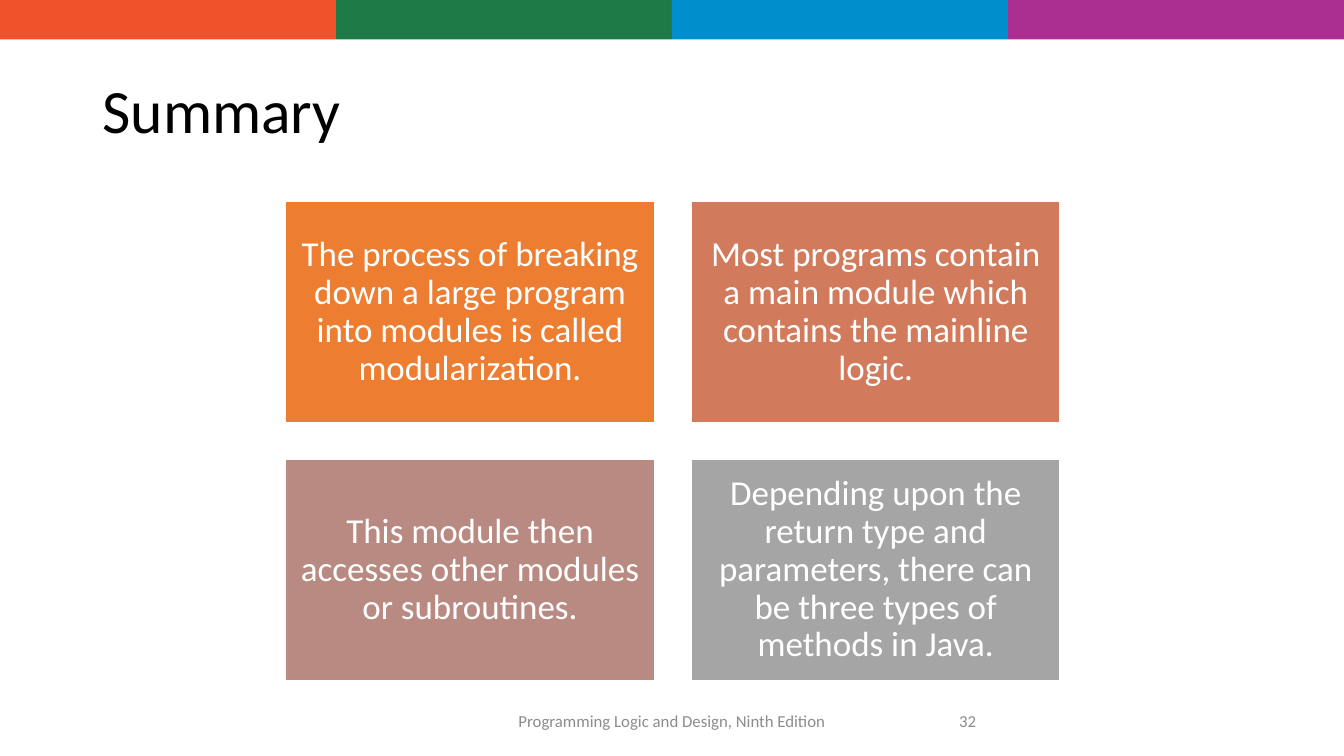
from dataclasses import dataclass

import pptx
import pptx.dml.color
import pptx.enum.shapes
import pptx.enum.text
import pptx.util

ALIGN = pptx.enum.text.PP_ALIGN
COLUMNS, ROWS = 160, 90


@dataclass(frozen=True)
class Theme:
    font: str = "Calibri"
    title_size: int = 44
    card_size: int = 25
    footer_size: int = 12
    title_color: str = "000000"
    light: str = "FFFFFF"
    footer_color: str = "8C8C8C"
    bands: tuple = ("F0532C", "1E7B47", "008FCD", "AB2E91")
    cards: tuple = ("ED7D31", "D17B5C", "B98A82", "A5A5A5")


def rgb(color):
    return pptx.dml.color.RGBColor.from_string(color)


class SlideBuilder:
    def __init__(self, presentation, theme):
        self.theme = theme
        self.column = presentation.slide_width / COLUMNS
        self.row = presentation.slide_height / ROWS
        self.slide = presentation.slides.add_slide(presentation.slide_layouts[5])

    def box(self, left, top, width, height):
        return (round(left * self.column), round(top * self.row),
                round(width * self.column), round(height * self.row))

    def set_text(self, shape, text, size, color, alignment, line_spacing=1.0):
        frame = shape.text_frame
        frame.text = text
        frame.word_wrap = True
        frame.auto_size = pptx.enum.text.MSO_AUTO_SIZE.NONE
        frame.vertical_anchor = pptx.enum.text.MSO_ANCHOR.MIDDLE
        paragraph = frame.paragraphs[0]
        paragraph.alignment = alignment
        paragraph.line_spacing = line_spacing
        font = paragraph.runs[0].font
        font.name = self.theme.font
        font.size = pptx.util.Pt(size)
        font.color.rgb = rgb(color)

    def title(self, text, *area):
        shape = self.slide.shapes.title
        shape.left, shape.top, shape.width, shape.height = self.box(*area)
        self.set_text(shape, text, self.theme.title_size, self.theme.title_color,
                      ALIGN.LEFT, 0.9)

    def rectangle(self, color, *area):
        shape = self.slide.shapes.add_shape(
            pptx.enum.shapes.MSO_SHAPE.RECTANGLE, *self.box(*area))
        shape.shadow.inherit = False
        shape.fill.solid()
        shape.fill.fore_color.rgb = rgb(color)
        shape.line.fill.background()
        return shape

    def card(self, text, color, *area):
        shape = self.rectangle(color, *area)
        shape.line.color.rgb = rgb(self.theme.light)
        shape.line.width = pptx.util.Pt(1)
        frame = shape.text_frame
        frame.margin_left = frame.margin_right = pptx.util.Inches(0.1)
        frame.margin_top = frame.margin_bottom = pptx.util.Inches(0.1)
        self.set_text(shape, text, self.theme.card_size, self.theme.light,
                      ALIGN.CENTER, 0.9)

    def footer(self, text, alignment, *area):
        shape = self.slide.shapes.add_textbox(*self.box(*area))
        self.set_text(shape, text, self.theme.footer_size, self.theme.footer_color,
                      alignment)


def main():
    presentation = pptx.Presentation()
    presentation.slide_width = pptx.util.Inches(13.33)
    presentation.slide_height = pptx.util.Inches(7.5)
    theme = Theme()
    builder = SlideBuilder(presentation, theme)

    band_width = COLUMNS / len(theme.bands)
    for index, color in enumerate(theme.bands):
        builder.rectangle(color, index * band_width, 0, band_width, 4.7)

    builder.title("Summary", 11, 4.8, 138, 17.4)

    points = (
        "The process of breaking down a large program into modules is called modularization.",
        "Most programs contain a main module which contains the mainline logic.",
        "This module then accesses other modules or subroutines.",
        "Depending upon the return type and parameters, there can be three types of methods in Java.",
    )
    card_width, card_height, gap = 43.9, 26.3, 4.4
    for index, (text, color) in enumerate(zip(points, theme.cards)):
        row, column = divmod(index, 2)
        builder.card(text, color, 34 + column * (card_width + gap),
                     24 + row * (card_height + gap), card_width, card_height)

    builder.footer("Programming Logic and Design, Ninth Edition", ALIGN.CENTER,
                   53, 83.4, 54, 4.8)
    builder.footer("32", ALIGN.LEFT, 113, 83.4, 36, 4.8)
    presentation.save("out.pptx")


if __name__ == "__main__":
    main()
